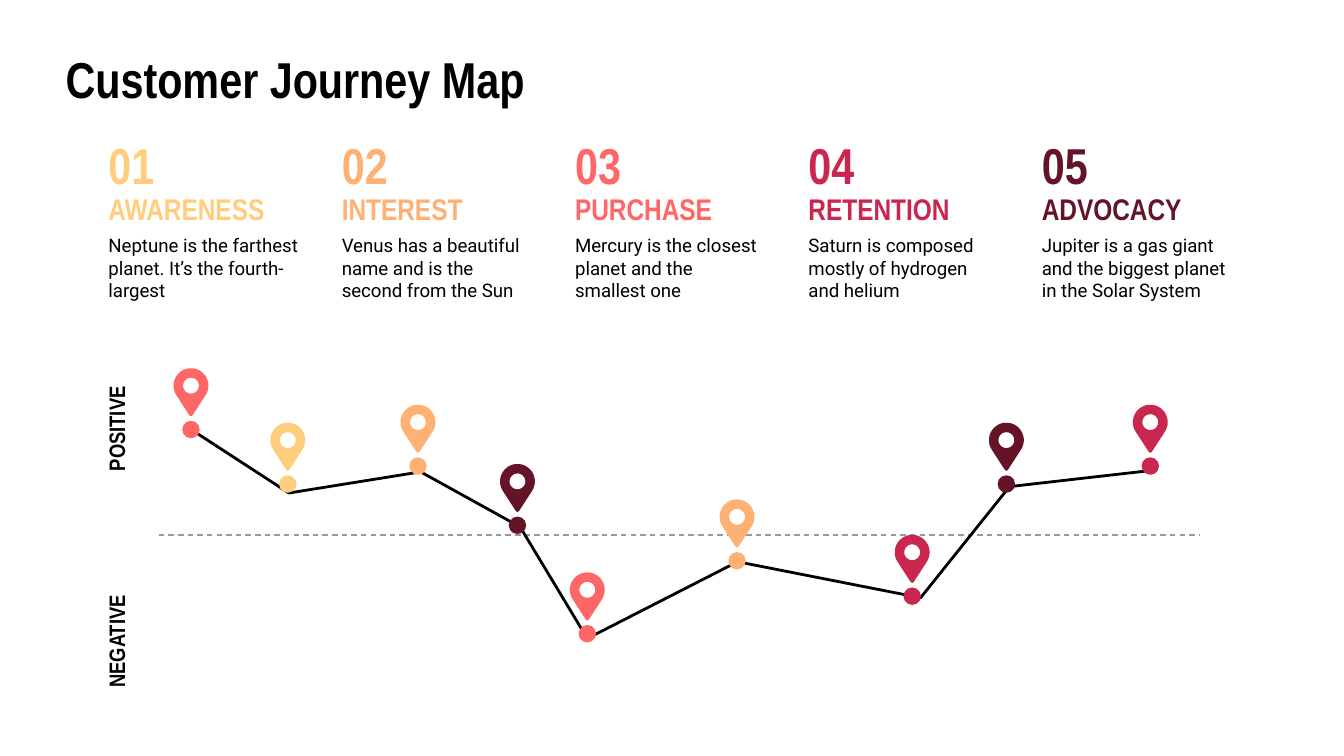
from math import cos, radians, sin
from typing import NamedTuple

from lxml.etree import SubElement
from pptx import Presentation
from pptx.dml.color import RGBColor
from pptx.enum.dml import MSO_LINE_DASH_STYLE as Dash
from pptx.enum.shapes import MSO_CONNECTOR as Connector, MSO_SHAPE as Shape
from pptx.enum.text import MSO_ANCHOR as Anchor, PP_ALIGN as Align
from pptx.oxml.ns import qn
from pptx.util import Cm, Pt

YELLOW, ORANGE, CORAL, CRIMSON, PLUM = "FFCE7D", "FFB174", "FF6666", "C9274F", "651428"
BLACK, GREY = "000000", "999999"
HEAD_FONT, BODY_FONT = "Arial Narrow", "Roboto"

Points = list[tuple[float, float]]


class Stage(NamedTuple):
    name: str
    text: str
    color: str


class Marker(NamedTuple):
    x: float    # centre of the pin
    top: float  # top of the pin
    color: str


STAGES = [
    Stage("AWARENESS", "Neptune is the farthest planet. It’s the fourth-largest", YELLOW),
    Stage("INTEREST", "Venus has a beautiful name and is the second from the Sun", ORANGE),
    Stage("PURCHASE", "Mercury is the closest planet and the smallest one", CORAL),
    Stage("RETENTION", "Saturn is composed mostly of hydrogen and helium", CRIMSON),
    Stage("ADVOCACY", "Jupiter is a gas giant\nand the biggest planet in the Solar System", PLUM),
]
MARKERS = [
    Marker(3.61, 6.96, CORAL), Marker(5.44, 7.99, YELLOW), Marker(7.9, 7.65, ORANGE),
    Marker(9.78, 8.77, PLUM), Marker(11.1, 10.82, CORAL), Marker(13.93, 9.44, ORANGE),
    Marker(17.24, 10.11, CRIMSON), Marker(19.02, 7.99, PLUM), Marker(21.74, 7.65, CRIMSON),
]
JOURNEY = [(3.66, 8.15), (5.46, 9.32), (7.95, 8.92), (9.83, 9.96), (11.1, 12.07),
           (13.94, 10.62), (17.4, 11.3), (19.08, 9.2), (21.79, 8.89)]

# Pin sizes in cm
HEAD_R, HOLE_R, DOT_R, DOT_DROP = 0.33, 0.15, 0.165, 1.16


def rgb(color: str) -> RGBColor:
    return RGBColor.from_string(color)


def add_text(s, text: str, x: float, y: float, w: float, h: float, *, size: float,
             color: str = BLACK, font: str = HEAD_FONT, bold: bool = True,
             align=Align.LEFT, anchor=Anchor.TOP, rotation: float = 0) -> None:
    box = s.shapes.add_textbox(Cm(x), Cm(y), Cm(w), Cm(h))
    box.rotation = rotation
    tf = box.text_frame
    tf.word_wrap = True
    tf.vertical_anchor = anchor
    tf.margin_left = tf.margin_right = tf.margin_top = tf.margin_bottom = Cm(0.25)
    p = tf.paragraphs[0]
    p.text = text
    p.alignment = align
    for r in p.runs:
        r.font.name, r.font.size, r.font.bold = font, Pt(size), bold
        r.font.color.rgb = rgb(color)


def paint(sp, color: str) -> None:
    sp.shadow.inherit = False
    sp.fill.solid()
    sp.fill.fore_color.rgb = rgb(color)
    sp.line.fill.background()


def arc(x: float, y: float, radius: float, start: int, end: int, step: int) -> Points:
    return [(x + radius * cos(radians(a)), y + radius * sin(radians(a)))
            for a in range(start, end, step)]


def add_outline(s, contours: list[Points], close: bool = True):
    emu = [[(Cm(x), Cm(y)) for x, y in points] for points in contours]
    builder = s.shapes.build_freeform(*emu[0][0])
    builder.add_line_segments(emu[0][1:], close=close)
    for points in emu[1:]:
        builder.move_to(*points[0])
        builder.add_line_segments(points[1:], close=close)
    return builder.convert_to_shape()


def add_marker(s, m: Marker) -> None:
    y = m.top + HEAD_R
    tip = [(m.x + 0.03, y + 0.56), (m.x, y + 0.58), (m.x - 0.03, y + 0.56)]
    head = arc(m.x, y, HEAD_R, 145, 396, 10)
    hole = arc(m.x, y, HOLE_R, 360, 0, -15)
    paint(add_outline(s, [head + tip, hole]), m.color)
    dot = s.shapes.add_shape(Shape.OVAL, Cm(m.x - DOT_R), Cm(m.top + DOT_DROP - DOT_R),
                             Cm(2 * DOT_R), Cm(2 * DOT_R))
    paint(dot, m.color)


def add_stage(s, number: int, stage: Stage) -> None:
    x = 1.8 + 4.41 * (number - 1)
    add_text(s, stage.text, x, 4.34, 4.14, 1.45, size=10, font=BODY_FONT, bold=False,
             anchor=Anchor.MIDDLE)
    add_text(s, f"{number:02}", x, 2.29, 1.52, 1.07, size=27, color=stage.color)
    add_text(s, stage.name, x, 3.56, 4.14, 0.76, size=16, color=stage.color,
             anchor=Anchor.MIDDLE)


def main() -> None:
    prs = Presentation()
    prs.slide_width, prs.slide_height = Cm(25.4), Cm(14.29)
    s = prs.slides.add_slide(prs.slide_layouts[6])

    # Title
    add_text(s, "Customer Journey Map", 0.99, 0.66, 11.4, 1.57, size=27)

    # Neutral level
    level = s.shapes.add_connector(Connector.STRAIGHT, Cm(3), Cm(10.11), Cm(22.68), Cm(10.11))
    level.line.color.rgb = rgb(GREY)
    level.line.width = Pt(0.75)
    level.line.dash_style = Dash.DASH
    SubElement(level._element.spPr, qn("a:effectLst"))

    # Journey line
    journey = add_outline(s, [JOURNEY], close=False)
    journey.shadow.inherit = False
    journey.fill.background()
    journey.line.color.rgb = rgb(BLACK)
    journey.line.width = Pt(1.5)

    # Pins with dots
    for marker in MARKERS:
        add_marker(s, marker)

    # Axis labels
    for label, y in (("POSITIVE", 7.92), ("NEGATIVE", 11.94)):
        add_text(s, label, 0.2, y, 3.99, 0.37, size=12, align=Align.CENTER,
                 anchor=Anchor.MIDDLE, rotation=270)

    # Stages
    for number, stage in enumerate(STAGES, 1):
        add_stage(s, number, stage)

    prs.save("out.pptx")


if __name__ == "__main__":
    main()
